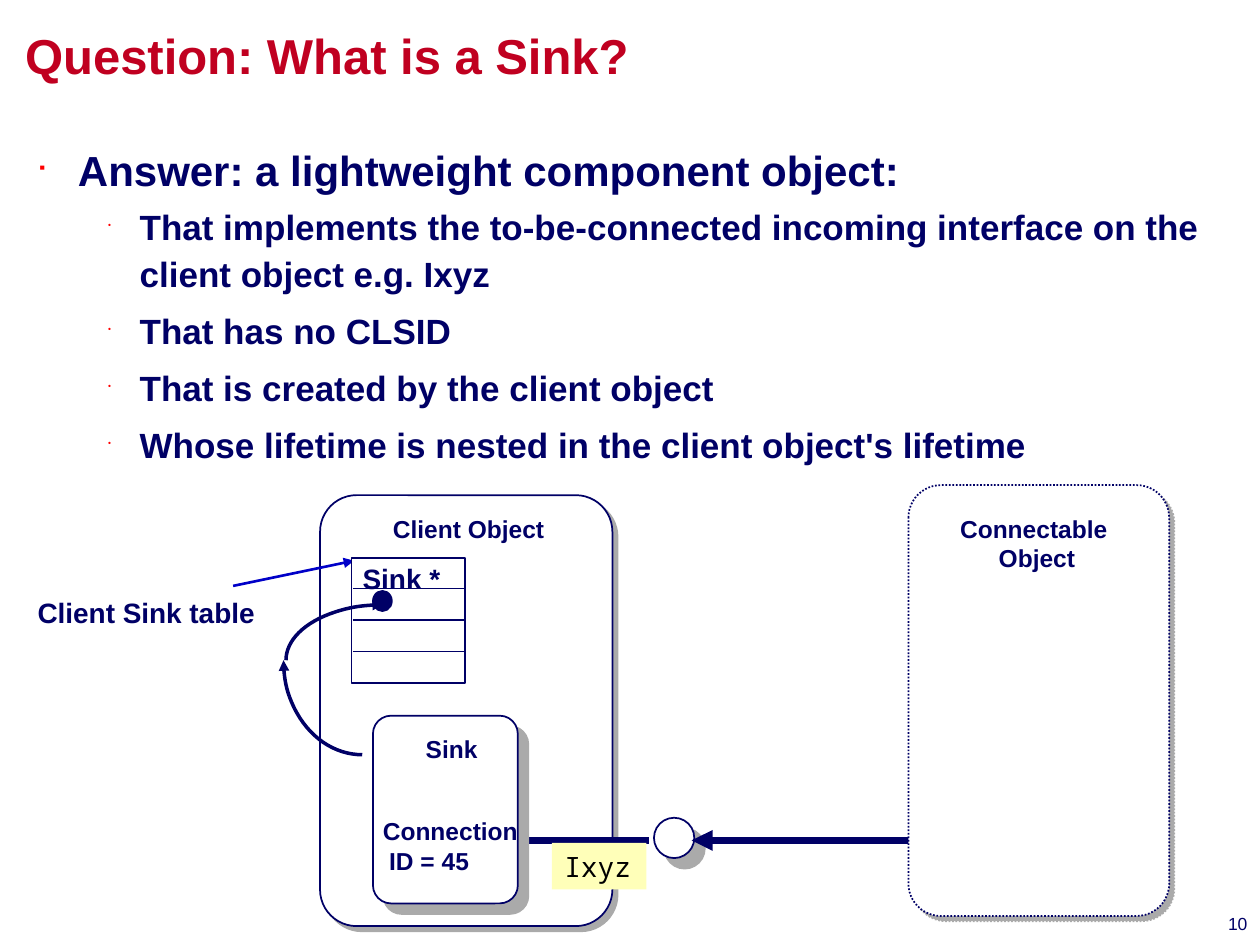
"""Builds a slide that explains what a sink is, with a diagram of its connection."""
from dataclasses import dataclass

from lxml import etree
from pptx import Presentation
from pptx.dml.color import RGBColor
from pptx.enum.dml import MSO_LINE
from pptx.enum.shapes import MSO_CONNECTOR, MSO_SHAPE
from pptx.enum.text import MSO_ANCHOR, PP_ALIGN
from pptx.oxml.ns import qn
from pptx.util import Inches, Pt

STRAIGHT = MSO_CONNECTOR.STRAIGHT
RECTANGLE, ROUNDED = MSO_SHAPE.RECTANGLE, MSO_SHAPE.ROUNDED_RECTANGLE
OVAL, ARC = MSO_SHAPE.OVAL, MSO_SHAPE.ARC
LEFT, CENTER, RIGHT = PP_ALIGN.LEFT, PP_ALIGN.CENTER, PP_ALIGN.RIGHT
TOP = MSO_ANCHOR.TOP
DOTTED = MSO_LINE.ROUND_DOT
COLUMNS, ROWS = 100, 75


@dataclass(frozen=True)
class Theme:
    navy: str = "000066"
    crimson: str = "C00020"
    bullet: str = "FF0000"
    blue: str = "0000C8"
    white: str = "FFFFFF"
    cream: str = "FFFFB9"
    black: str = "000000"
    shadow: str = "AAAAAA"
    sans: str = "Arial"
    mono: str = "Noto Sans Mono"
    title: int = 28
    lead: int = 24
    point: int = 20
    label: int = 16
    caption: int = 14
    number: int = 10


def add_child(parent, tag, **attributes):
    return etree.SubElement(parent, qn(tag), attributes)


def write_text(para, text, *, size, color, font, bold=True, align=LEFT, indent=0, hanging=0,
               bullet=None, bullet_size=0, bullet_color=None, leading=None, before=0, after=0):
    para.alignment = align
    properties = para._p.get_or_add_pPr()
    properties.set("marL", str(Inches(indent)))
    properties.set("indent", str(-Inches(hanging)))
    if bullet:
        add_child(add_child(properties, "a:buClr"), "a:srgbClr", val=bullet_color)
        add_child(properties, "a:buSzPct", val=str(bullet_size * 1000))
        add_child(properties, "a:buChar", char=bullet)
    para.line_spacing = leading
    para.space_before, para.space_after = Pt(before), Pt(after)
    span = para.add_run()
    span.text = text
    span.font.size, span.font.name, span.font.bold = Pt(size), font, bold
    span.font.color.rgb = RGBColor.from_string(color)


class SlideBuilder:
    def __init__(self, deck, theme):
        self.theme = theme
        self.column = deck.slide_width / COLUMNS
        self.row = deck.slide_height / ROWS
        self.page = deck.slides.add_slide(deck.slide_layouts[6])

    def place(self, *lengths):
        units = (self.column, self.row) * 2
        return [round(length * unit) for length, unit in zip(lengths, units)]

    def fill_frame(self, frame, paragraphs, insets, wrap):
        frame.word_wrap, frame.vertical_anchor = wrap, TOP
        frame.margin_left, frame.margin_top, frame.margin_right, frame.margin_bottom = map(Inches, insets)
        for index, (text, style) in enumerate(paragraphs):
            para = frame.add_paragraph() if index else frame.paragraphs[0]
            style = {"color": self.theme.navy, "font": self.theme.sans, **style}
            write_text(para, text, **style)

    def text(self, area, *paragraphs, insets=(0.1, 0.05, 0.1, 0.05), wrap=False):
        box = self.page.shapes.add_textbox(*self.place(*area))
        self.fill_frame(box.text_frame, paragraphs, insets, wrap)

    def stroke(self, line, color, width, arrow=False):
        line.color.rgb = RGBColor.from_string(color)
        line.width = Pt(width)
        if arrow:
            add_child(line._get_or_add_ln(), "a:tailEnd", type="triangle")

    def shape(self, kind, area, fill=None, outline=True, dash=None, shadow=0):
        shape = self.page.shapes.add_shape(kind, *self.place(*area))
        shape.shadow.inherit = False
        shape.fill.solid()
        shape.fill.fore_color.rgb = RGBColor.from_string(fill or self.theme.white)
        if outline:
            self.stroke(shape.line, self.theme.navy, 1)
        else:
            shape.line.fill.background()
        if dash:
            shape.line.dash_style = dash
        if kind == ROUNDED:
            shape.adjustments[0] = 0.125
        if shadow:
            effects = shape._element.spPr.find(qn("a:effectLst"))
            outer = add_child(effects, "a:outerShdw", blurRad="0", dist=str(Pt(shadow)),
                              dir=str(45 * 60000), algn="ctr", rotWithShape="0")
            add_child(outer, "a:srgbClr", val=self.theme.shadow)
        return shape

    def tag(self, area, text, **style):
        shape = self.shape(RECTANGLE, area, fill=self.theme.cream, outline=False)
        self.fill_frame(shape.text_frame, [(text, style)], (0.1, 0.05, 0.1, 0.05), True)

    def line(self, start, end, width=1, color=None, arrow=False):
        line = self.page.shapes.add_connector(STRAIGHT, *self.place(*start, *end))
        self.stroke(line.line, color or self.theme.navy, width, arrow)
        add_child(line._element.spPr, "a:effectLst")

    def quarter_arc(self, area, start_degrees):
        arc = self.page.shapes.add_shape(ARC, *self.place(*area))
        arc.shadow.inherit = False
        arc.fill.background()
        for index, degrees in enumerate((start_degrees, start_degrees + 90)):
            arc.adjustments[index] = degrees * 0.6
        self.stroke(arc.line, self.theme.navy, 2, arrow=True)


def main():
    deck = Presentation()
    deck.slide_width, deck.slide_height = Inches(10), Inches(7.5)
    theme = Theme()
    slide = SlideBuilder(deck, theme)
    caption, label = {"size": theme.caption}, {"size": theme.label}
    centered = {**caption, "align": CENTER}
    lead = {"size": theme.lead, "indent": 0.32, "hanging": 0.32, "leading": 1.2,
            "bullet": "▪", "bullet_size": 30, "bullet_color": theme.bullet}
    point = {"size": theme.point, "indent": 0.81, "hanging": 0.25, "leading": 1.1,
             "before": 3.7, "after": 2.5,
             "bullet": "•", "bullet_size": 25, "bullet_color": theme.bullet}
    points = ("That implements the to-be-connected incoming interface on the client object e.g. Ixyz",
              "That has no CLSID",
              "That is created by the client object",
              "Whose lifetime is nested in the client object's lifetime")

    slide.text((64, 72, 35, 1.7), ("10", {"size": theme.number, "bold": False, "align": RIGHT}),
               insets=(0, 0.05, 0, 0.05), wrap=True)
    slide.text((0, 0, 100, 10),
               ("Question: What is a Sink?", {"size": theme.title, "color": theme.crimson}),
               insets=(0.2, 0.2, 1.97, 0.14), wrap=True)
    slide.text((2, 10.2, 95.2, 63.3), ("Answer: a lightweight component object:", lead),
               *((text, point) for text in points), wrap=True)

    slide.shape(ROUNDED, (25.4, 39.3, 23.2, 34.2), shadow=4.2)
    slide.line((41.7, 66.7), (51.5, 66.7), width=4)
    slide.shape(OVAL, (51.9, 64.9, 3.2, 3.2), shadow=8.5)
    slide.tag((43.8, 66.9, 7.5, 3.7), "Ixyz", size=theme.label, color=theme.black,
              font=theme.mono, bold=False)
    slide.text((30.2, 40.3, 14, 3.3), ("Client Object", caption))
    slide.line((18.5, 46.5), (28.1, 44.5), width=1.5, color=theme.blue, arrow=True)
    slide.text((2, 46.8, 20.2, 3.6), ("Client Sink table", label))

    slide.shape(ROUNDED, (29.6, 56.8, 11.5, 14.9), shadow=8.5)
    slide.shape(RECTANGLE, (27.9, 44.3, 9, 9.9))
    for divider in range(3):
        height = 46.7 + 2.5 * divider
        slide.line((28, height), (36.9, height))
    slide.text((27.8, 44.1, 9.1, 3.6), ("Sink *", label))
    slide.text((29.4, 64.3, 12.9, 5.6), ("Connection", caption),
               ("ID = 45", {**caption, "indent": 0.05}))
    slide.text((32.8, 57.8, 6.5, 3.3), ("Sink", caption))

    slide.line((72.5, 66.7), (54.9, 66.7), width=4, arrow=True)
    slide.shape(ROUNDED, (72.1, 38.5, 20.7, 34.2), dash=DOTTED, shadow=4.2)
    slide.quarter_arc((22.7, 48, 15.4, 8.8), 180)
    slide.quarter_arc((22.5, 44.9, 12.5, 15), 90)
    slide.shape(OVAL, (29.6, 46.9, 1.5, 1.6), fill=theme.navy)
    slide.text((75.2, 40.3, 13.7, 5.6), ("Connectable", centered),
               ("Object", {**centered, "indent": 0.05}))
    deck.save("out.pptx")


if __name__ == "__main__":
    main()
